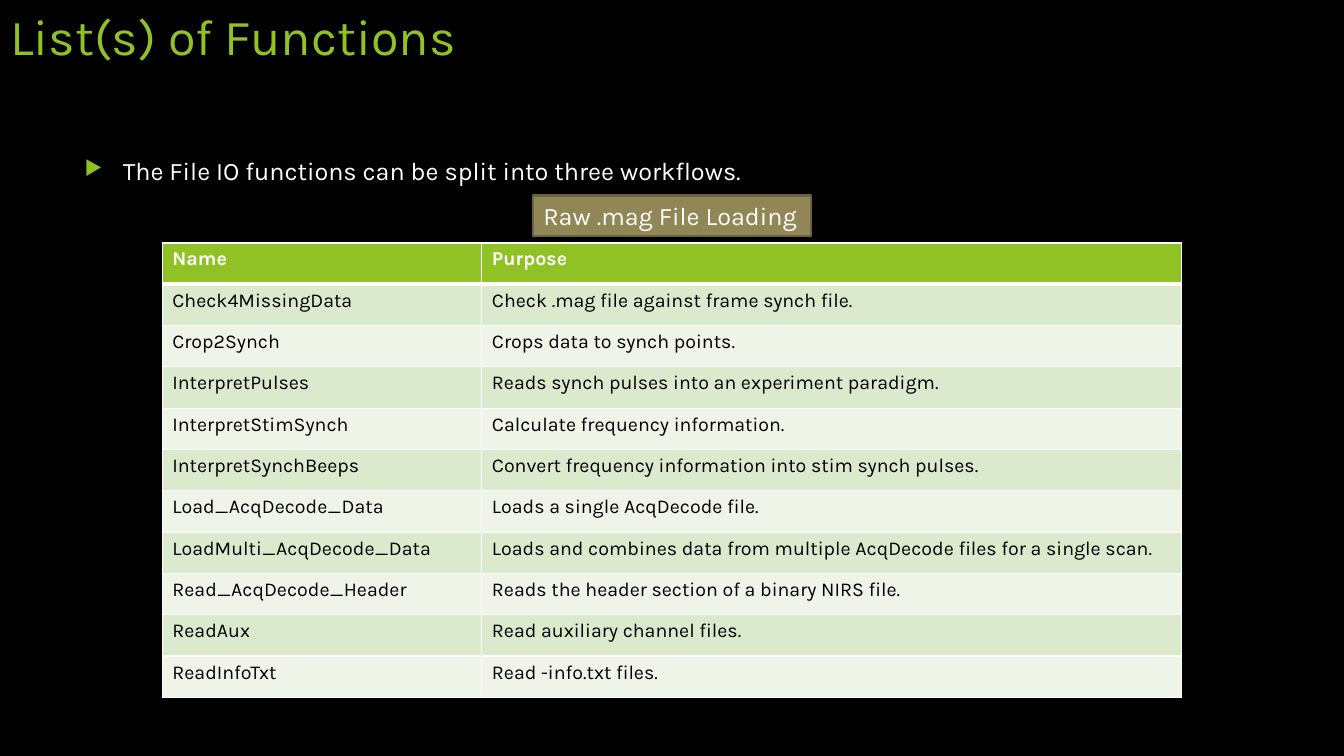
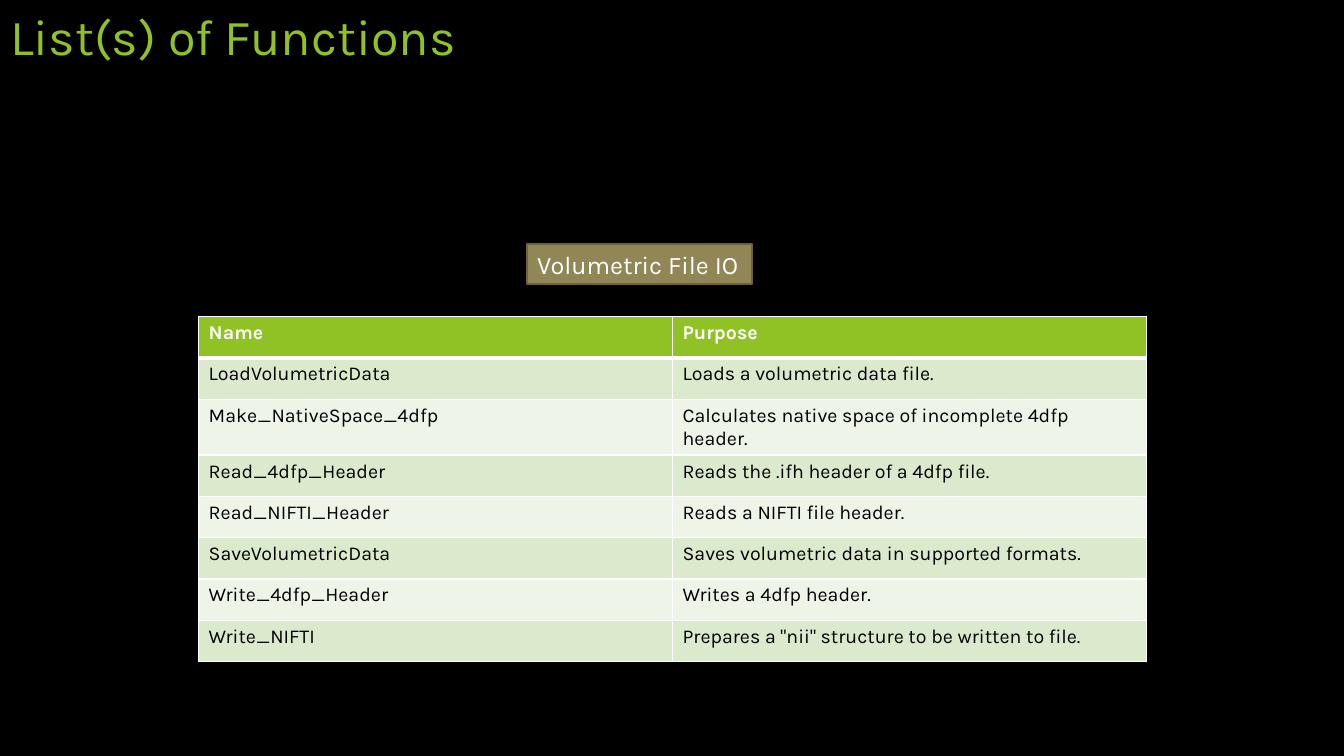
from dataclasses import dataclass

from lxml.etree import SubElement
from pptx import Presentation
from pptx.dml.color import RGBColor
from pptx.enum.shapes import MSO_SHAPE
from pptx.enum.text import MSO_ANCHOR, MSO_AUTO_SIZE, PP_ALIGN
from pptx.oxml.ns import qn
from pptx.util import Emu, Pt


@dataclass(frozen=True)
class Theme:
    font: str = "Karla"
    background: str = "000000"
    accent: str = "90C226"
    light: str = "FFFFFF"
    dark: str = "000000"
    bands: tuple = ("DBE9CD", "EEF4E8")
    tag_fill: str = "918655"
    tag_line: str = "6B633F"
    title_size: int = 36
    body_size: int = 18
    table_size: int = 14


THEME = Theme()
EMU_PER_PX = 9144
SLIDE_SIZE = (1333, 750)
TITLE_BOX = (0, 0, 940, 144)
ROW_HEIGHT = 41
HEADINGS = ("Name", "Purpose")

LOADING_FUNCTIONS = (
    ("Check4MissingData", "Check .mag file against frame synch file."),
    ("Crop2Synch", "Crops data to synch points."),
    ("InterpretPulses", "Reads synch pulses into an experiment paradigm."),
    ("InterpretStimSynch", "Calculate frequency information."),
    ("InterpretSynchBeeps", "Convert frequency information into stim synch pulses."),
    ("Load_AcqDecode_Data", "Loads a single AcqDecode file."),
    ("LoadMulti_AcqDecode_Data",
     "Loads and combines data from multiple AcqDecode files for a single scan."),
    ("Read_AcqDecode_Header", "Reads the header section of a binary NIRS file."),
    ("ReadAux", "Read auxiliary channel files."),
    ("ReadInfoTxt", "Read -info.txt files."),
)
VOLUMETRIC_FUNCTIONS = (
    ("LoadVolumetricData", "Loads a volumetric data file."),
    ("Make_NativeSpace_4dfp", "Calculates native space of incomplete 4dfp header."),
    ("Read_4dfp_Header", "Reads the .ifh header of a 4dfp file."),
    ("Read_NIFTI_Header", "Reads a NIFTI file header."),
    ("SaveVolumetricData", "Saves volumetric data in supported formats."),
    ("Write_4dfp_Header", "Writes a 4dfp header."),
    ("Write_NIFTI", 'Prepares a "nii" structure to be written to file.'),
)


def px(*lengths):
    return [Emu(length * EMU_PER_PX) for length in lengths]


def color(value):
    return RGBColor.from_string(value)


def write(para, text, size=THEME.body_size, ink=THEME.light, bold=False):
    para.alignment = PP_ALIGN.LEFT
    span = para.add_run()
    span.text = text
    span.font.name = THEME.font
    span.font.size = Pt(size)
    span.font.bold = bold
    span.font.color.rgb = color(ink)


def add_page(deck, title):
    page = deck.slides.add_slide(deck.slide_layouts[5])
    page.background.fill.solid()
    page.background.fill.fore_color.rgb = color(THEME.background)
    holder = page.shapes.title
    holder.left, holder.top, holder.width, holder.height = px(*TITLE_BOX)
    frame = holder.text_frame
    frame.vertical_anchor = MSO_ANCHOR.TOP
    frame.auto_size = MSO_AUTO_SIZE.NONE
    write(frame.paragraphs[0], title, size=THEME.title_size, ink=THEME.accent)
    return page


def add_bullet(page, box, text):
    frame = page.shapes.add_textbox(*px(*box)).text_frame
    frame.word_wrap = True
    para = frame.paragraphs[0]
    para.space_before = Pt(10)
    write(para, text)
    properties = para._p.get_or_add_pPr()
    indent = px(38)[0]
    properties.set("marL", str(indent))
    properties.set("indent", str(-indent))
    bullet_color = SubElement(properties, qn("a:buClr"))
    SubElement(bullet_color, qn("a:srgbClr"), val=THEME.accent)
    SubElement(properties, qn("a:buSzPct"), val="80000")
    SubElement(properties, qn("a:buChar"), char="▶")


def add_tag(page, box, text):
    tag = page.shapes.add_shape(MSO_SHAPE.RECTANGLE, *px(*box))
    tag.shadow.inherit = False
    tag.fill.solid()
    tag.fill.fore_color.rgb = color(THEME.tag_fill)
    tag.line.color.rgb = color(THEME.tag_line)
    tag.line.width = Pt(1.5)
    frame = tag.text_frame
    frame.word_wrap = False
    frame.auto_size = MSO_AUTO_SIZE.SHAPE_TO_FIT_TEXT
    write(frame.paragraphs[0], text)


def add_borders(cell, top, bottom):
    properties = cell._tc.get_or_add_tcPr()
    for side, width in (("L", 1), ("R", 1), ("T", top), ("B", bottom)):
        line = SubElement(properties, qn(f"a:ln{side}"), w=str(Pt(width)))
        fill = SubElement(line, qn("a:solidFill"))
        SubElement(fill, qn("a:srgbClr"), val=THEME.light)


def add_function_table(page, left, top, widths, functions):
    rows = (HEADINGS, *functions)
    box = px(left, top, sum(widths), ROW_HEIGHT * len(rows))
    table = page.shapes.add_table(len(rows), len(widths), *box).table
    table.horz_banding = False
    for column, width in zip(table.columns, px(*widths)):
        column.width = width
    for index, texts in enumerate(rows):
        table.rows[index].height = px(ROW_HEIGHT)[0]
        header = index == 0
        fill = THEME.accent if header else THEME.bands[(index - 1) % 2]
        ink = THEME.light if header else THEME.dark
        for cell, text in zip(table.rows[index].cells, texts):
            add_borders(cell, top=3 if index == 1 else 1, bottom=3 if header else 1)
            cell.fill.solid()
            cell.fill.fore_color.rgb = color(fill)
            write(cell.text_frame.paragraphs[0], text,
                  size=THEME.table_size, ink=ink, bold=header)


def build_loading_page(deck):
    page = add_page(deck, "List(s) of Functions")
    add_bullet(page, (74, 149, 940, 424),
               "The File IO functions can be split into three workflows.")
    add_function_table(page, 161, 241, (317, 694), LOADING_FUNCTIONS)
    add_tag(page, (529, 194, 275, 40), "Raw .mag File Loading")


def build_volumetric_page(deck):
    page = add_page(deck, "List(s) of Functions")
    add_function_table(page, 197, 314, (470, 470), VOLUMETRIC_FUNCTIONS)
    add_tag(page, (523, 242, 223, 40), "Volumetric File IO")


def main():
    deck = Presentation()
    deck.slide_width, deck.slide_height = px(*SLIDE_SIZE)
    build_loading_page(deck)
    build_volumetric_page(deck)
    deck.save("out.pptx")


if __name__ == "__main__":
    main()
